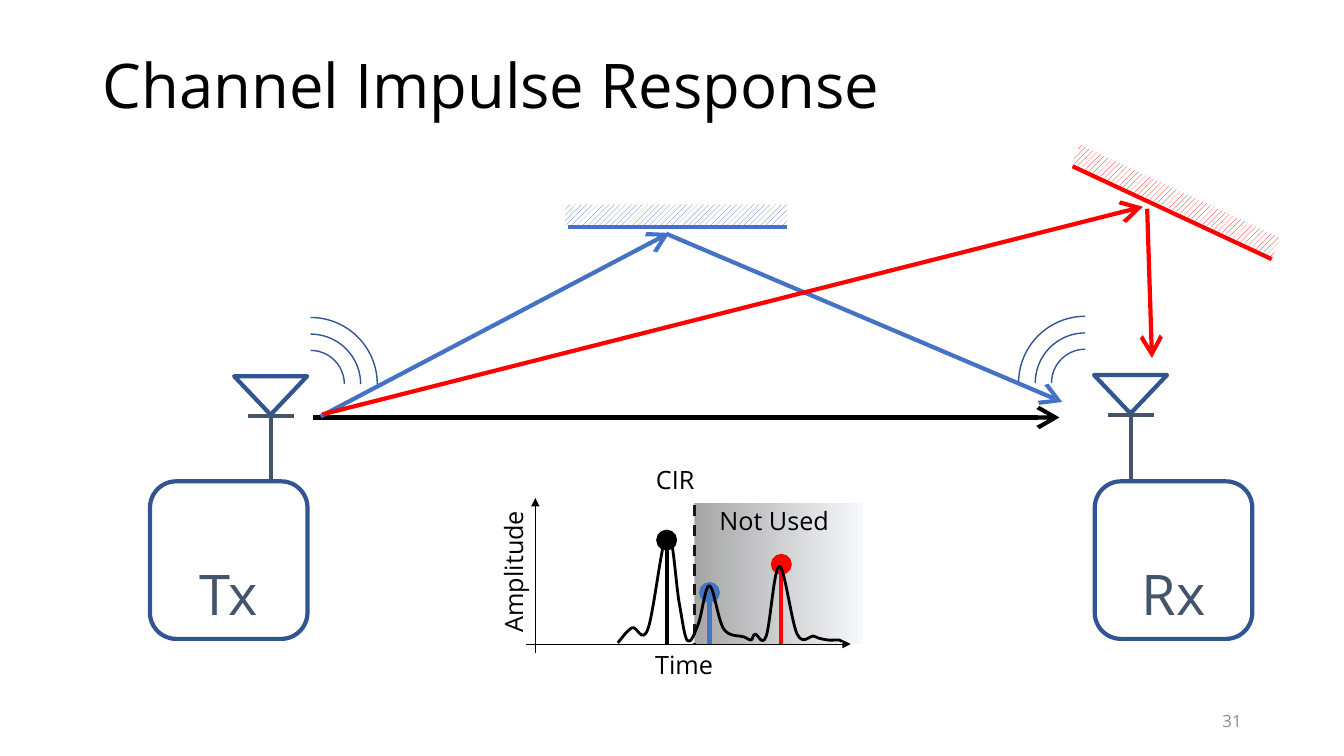
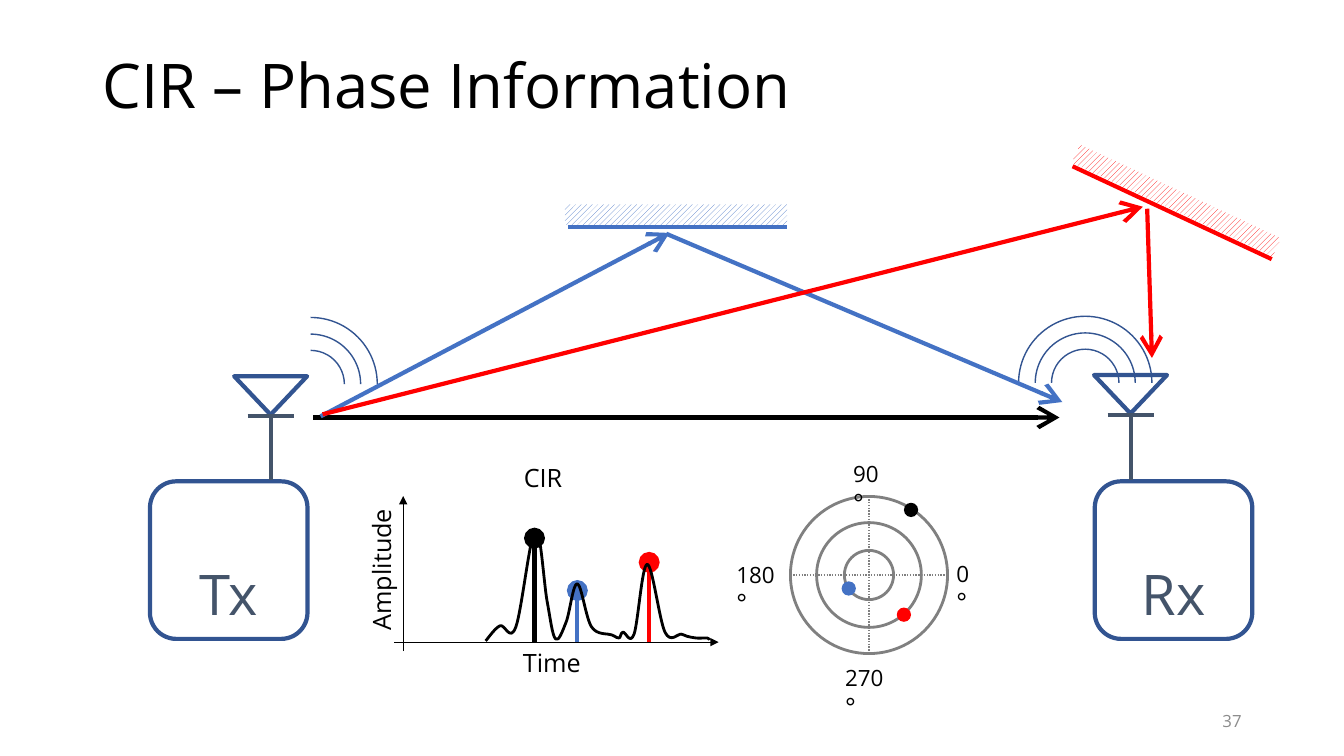
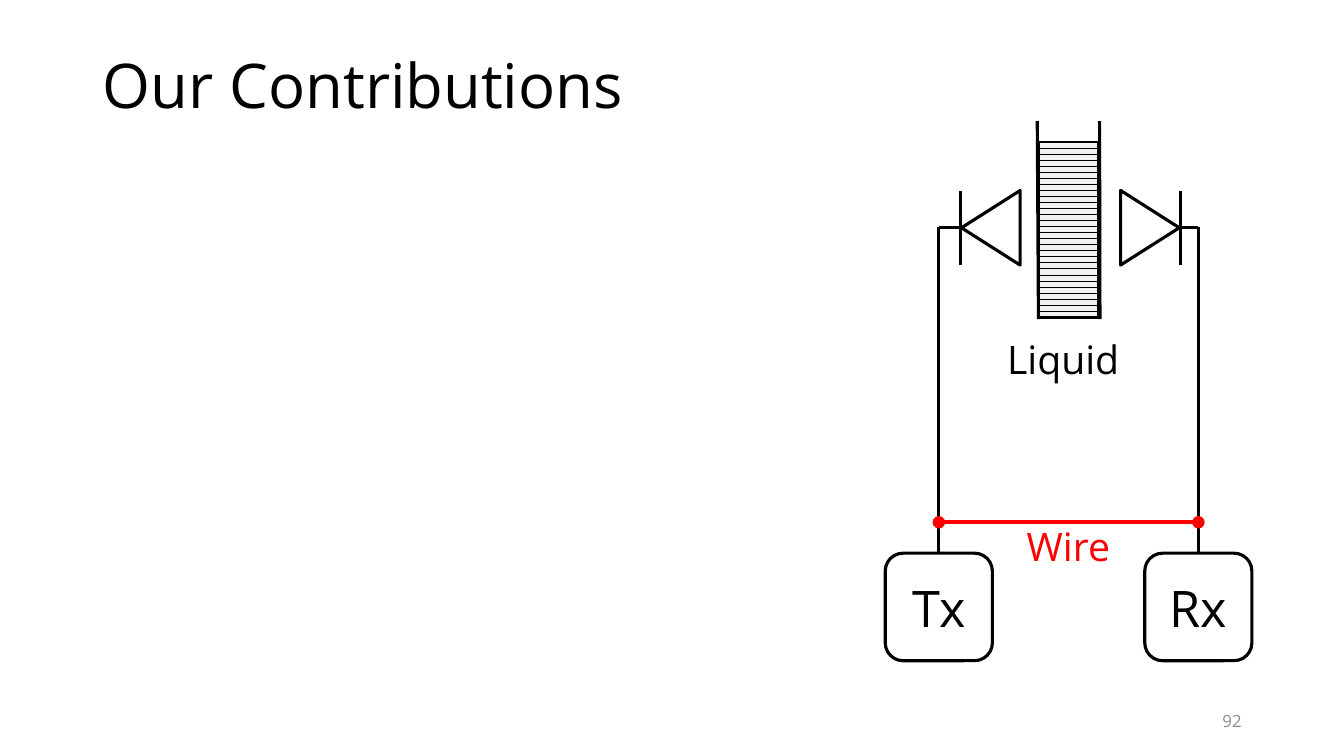
"""Build three slides on the channel impulse response and a liquid sensing setup."""

import lxml.etree
import pptx
import pptx.dml.color
import pptx.enum.dml
import pptx.enum.shapes
import pptx.enum.text
import pptx.oxml.ns
import pptx.util

Cm = pptx.util.Cm
Pt = pptx.util.Pt
qn = pptx.oxml.ns.qn
SHAPE = pptx.enum.shapes.MSO_SHAPE
PATTERN = pptx.enum.dml.MSO_PATTERN
DASH = pptx.enum.dml.MSO_LINE
ALIGN = pptx.enum.text.PP_ALIGN
ANCHOR = pptx.enum.text.MSO_ANCHOR
AUTO_SIZE = pptx.enum.text.MSO_AUTO_SIZE

FONT = "Open Sans"
COLORS = {
    "black": "000000",
    "white": "FFFFFF",
    "red": "FF0000",
    "blue": "4472C4",
    "outline": "325491",
    "slate": "44546A",
    "ring": "808080",
    "number": "8C8C8C",
    "dash": "181717",
    "shade": "A6A6A6",
    "shade_end": "F6F8FC",
    "liquid": "F2F2F2",
}
PULSE = [
    (2.08, 0.03), (2.44, 0.41), (2.84, 0.38), (3.33, 2.82), (3.63, 1.02),
    (3.84, 0.08), (4.11, 0.51), (4.39, 1.47), (4.75, 0.38), (5.26, 0.18),
    (5.44, 0.1), (5.54, 0.25), (5.82, 0.2), (6.15, 1.96), (6.6, 0.25),
    (7.01, 0.2), (7.14, 0.15), (7.39, 0.1), (7.67, 0.1), (7.72, 0.05),
]
TAPS = [("black", 3.31, 2.62), ("blue", 4.39, 1.3), ("red", 6.2, 2.01)]
RAYS = [
    ("black", (7.9, 10.52), (26.7, 10.52)),
    ("blue", (8.08, 10.49), (16.87, 5.87)),
    ("blue", (16.79, 5.89), (26.77, 10.13)),
    ("red", (8.13, 10.44), (28.8, 5.21)),
    ("red", (28.91, 5.26), (29.03, 9.02)),
]


def rgb(color):
    return pptx.dml.color.RGBColor.from_string(COLORS[color])


def set_line(line, color, width):
    line.color.rgb = rgb(color)
    line.width = Pt(width)


def add_text(shape, runs, color="black", align=ALIGN.LEFT, anchor=ANCHOR.TOP):
    frame = shape.text_frame
    frame.vertical_anchor = anchor
    paragraph = frame.paragraphs[0]
    paragraph.alignment = align
    for text, size in runs:
        run = paragraph.add_run()
        run.text = text
        run.font.name = FONT
        run.font.size = Pt(size)
        run.font.color.rgb = rgb(color)
    return paragraph


def add_label(slide, box, runs, wrap=False, grow=True, rotation=0, **style):
    shape = slide.shapes.add_textbox(*map(Cm, box))
    shape.rotation = rotation
    shape.text_frame.word_wrap = wrap
    if grow:
        shape.text_frame.auto_size = AUTO_SIZE.SHAPE_TO_FIT_TEXT
    return add_text(shape, runs, **style)


def add_preset(slide, kind, box, fill=None, line=None, width=1, rotation=0):
    shape = slide.shapes.add_shape(kind, *map(Cm, box))
    shape.shadow.inherit = False
    shape.rotation = rotation
    if fill:
        shape.fill.solid()
        shape.fill.fore_color.rgb = rgb(fill)
    else:
        shape.fill.background()
    if line:
        set_line(shape.line, line, width)
    else:
        shape.line.fill.background()
    return shape


def add_circle(slide, center, radius, **style):
    x, y = center
    box = (x - radius, y - radius, 2 * radius, 2 * radius)
    return add_preset(slide, SHAPE.OVAL, box, **style)


def add_line(slide, start, end, color="black", width=3, dash=None,
             head=None, tail=None, end_size="med"):
    connector = slide.shapes.add_connector(
        pptx.enum.shapes.MSO_CONNECTOR.STRAIGHT, *map(Cm, (*start, *end)))
    set_line(connector.line, color, width)
    if dash:
        connector.line.dash_style = dash
    properties = connector._element.spPr
    outline = properties.find(qn("a:ln"))
    for tag, kind in (("a:headEnd", head), ("a:tailEnd", tail)):
        if kind:
            lxml.etree.SubElement(outline, qn(tag), type=kind, w=end_size, len=end_size)
    lxml.etree.SubElement(properties, qn("a:effectLst"))
    return connector


def set_pattern(shape, pattern, foreground, background):
    shape.fill.patterned()
    shape.fill.pattern = pattern
    shape.fill.fore_color.rgb = rgb(foreground)
    shape.fill.back_color.rgb = rgb(background)


def add_titled_slide(presentation, title, number):
    slide = presentation.slides.add_slide(presentation.slide_layouts[6])
    heading = add_label(slide, (2.34, 0.38, 29.21, 3.68), [(title, 44)],
                        wrap=True, grow=False, anchor=ANCHOR.MIDDLE)
    heading.line_spacing = 0.9
    add_label(slide, (23.92, 17.65, 7.62, 1.02), [(number, 12)], wrap=True, grow=False,
              color="number", align=ALIGN.RIGHT, anchor=ANCHOR.MIDDLE)
    return slide


def add_station(slide, label, box_left, mast_x, top, arc_x, arc_angles):
    for radius in (0.85, 1.26, 1.68):
        box = (arc_x - radius, top + 0.2 - radius, 2 * radius, 2 * radius)
        arc = add_preset(slide, SHAPE.ARC, box, line="outline")
        for index, degrees in enumerate(arc_angles):
            arc.adjustments[index] = degrees * 0.6
    box = add_preset(slide, SHAPE.ROUNDED_RECTANGLE, (box_left, 12.13, 3.97, 3.97),
                     line="outline", width=3)
    add_text(box, [(label, 40)], "slate", ALIGN.CENTER, ANCHOR.BOTTOM)
    add_preset(slide, SHAPE.ISOSCELES_TRIANGLE, (mast_x - 0.93, top, 1.84, 0.97),
               line="outline", width=3, rotation=180)
    bar_y = top + 1
    add_line(slide, (mast_x - 0.59, bar_y), (mast_x + 0.59, bar_y), "slate")
    add_line(slide, (mast_x, bar_y), (mast_x, 12.1), "slate")


def add_reflector(slide, color, start, end, hatch_box, rotation=0):
    add_line(slide, start, end, color)
    hatch = add_preset(slide, SHAPE.RECTANGLE, hatch_box, rotation=rotation)
    set_pattern(hatch, PATTERN.WIDE_UPWARD_DIAGONAL, color, "white")


def add_multipath(slide, receiver_arc):
    add_station(slide, "Rx", 27.59, 28.5, 9.45, 27.35, receiver_arc)
    add_station(slide, "Tx", 3.78, 6.83, 9.48, 7.83, (270, 0))
    add_reflector(slide, "blue", (14.31, 5.72), (19.84, 5.72), (14.24, 5.15, 5.6, 0.52))
    add_reflector(slide, "red", (27.03, 4.19), (32.05, 6.53), (26.85, 4.8, 5.59, 0.51), 25)
    for color, start, end in RAYS:
        add_line(slide, start, end, color, tail="arrow", end_size="lg")


def add_smooth_curve(slide, points, color, width):
    corners = [(Cm(x), Cm(y)) for x, y in points]
    builder = slide.shapes.build_freeform(*corners[0])
    builder.add_line_segments(corners[1:], close=False)
    curve = builder.convert_to_shape()
    curve.shadow.inherit = False
    curve.fill.background()
    set_line(curve.line, color, width)

    knots = [(int(knot.get("x")), int(knot.get("y")))
             for knot in curve._element.iter(qn("a:pt"))]
    padded = [knots[0], *knots, knots[-1]]
    segments = list(curve._element.iter(qn("a:lnTo")))
    for segment, before, start, end, after in zip(
            segments, padded, padded[1:], padded[2:], padded[3:]):
        leaving = [b + (c - a) / 6 for a, b, c in zip(before, start, end)]
        arriving = [c - (d - b) / 6 for b, c, d in zip(start, end, after)]
        bezier = lxml.etree.Element(qn("a:cubicBezTo"))
        for x, y in (leaving, arriving, end):
            lxml.etree.SubElement(bezier, qn("a:pt"), x=str(round(x)), y=str(round(y)))
        segment.getparent().replace(segment, bezier)


def add_impulse_plot(slide, left, base):
    add_line(slide, (left - 0.23, base), (left + 7.95, base), width=0.75, tail="triangle")
    add_line(slide, (left, base + 0.23), (left, base - 3.68), width=0.75, tail="triangle")
    for color, x, height in TAPS:
        add_line(slide, (left + x, base), (left + x, base - height), color,
                 tail="oval", end_size="lg")
    for text, x, y, width, rotation in (
            ("Amplitude", -2.46, -2.46, 3.81, 270),
            ("Time", 2.77, 0, 2.08, 0),
            ("CIR", 2.79, -4.65, 1.6, 0)):
        add_label(slide, (left + x, base + y, width, 1.02), [(text, 18)], rotation=rotation)
    add_smooth_curve(slide, [(left + x, base - y) for x, y in PULSE], "black", 2)


def add_unused_region(slide):
    region = add_preset(slide, SHAPE.RECTANGLE, (17.5, 12.67, 4.24, 3.56))
    region.fill.gradient()
    region.fill.gradient_angle = 0
    for stop, color in zip(region.fill.gradient_stops, ("shade", "shade_end")):
        stop.color.rgb = rgb(color)
    add_label(slide, (17.88, 12.6, 3.35, 1.02), [("Not Used", 18)])
    add_line(slide, (17.5, 12.73), (17.5, 16.23), "dash", 2, DASH.DASH)


def add_phase_plot(slide, x, y):
    outer = 1.98
    for radius in (outer, 1.32, 0.62):
        add_circle(slide, (x, y), radius, line="ring", width=2)
    for dx, dy in ((outer, 0), (0, outer)):
        add_line(slide, (x - dx, y - dy), (x + dx, y + dy), "ring", 1, DASH.ROUND_DOT)
    for color, dx, dy in (("black", 1.06, -1.64), ("red", 0.88, 1), ("blue", -0.51, 0.34)):
        add_circle(slide, (x + dx, y + dy), 0.18, fill=color)
    for angle, dx, dy, width in (("0", 1.95, -0.51, 1.02), ("90", -0.65, -3.01, 1.37),
                                 ("270", -0.85, 2.12, 1.73), ("180", -3.59, -0.48, 1.73)):
        add_label(slide, (x + dx, y + dy, width, 1.02), [(angle, 16), ("°", 18)], wrap=True)


def add_terminal(slide, label, box_left, horn_x, direction):
    horn_y = 5.74
    feed_x = box_left + 1.35
    bar_x = horn_x + direction * 0.76
    add_preset(slide, SHAPE.ISOSCELES_TRIANGLE, (horn_x - 0.94, horn_y - 0.74, 1.88, 1.48),
               line="black", width=2.25, rotation=90 * direction % 360)
    add_line(slide, (bar_x, horn_y - 0.93), (bar_x, horn_y + 0.94), width=2.25)
    add_line(slide, (bar_x, horn_y), (feed_x, horn_y), width=2.25)
    box = add_preset(slide, SHAPE.ROUNDED_RECTANGLE, (box_left, 13.94, 2.7, 2.71),
                     line="black", width=2.25)
    add_text(box, [(label, 36)], align=ALIGN.CENTER, anchor=ANCHOR.MIDDLE)
    feed = add_line(slide, (feed_x, 13.94), (feed_x, 5.72), width=2.25)
    feed.begin_connect(box, 0)


def add_liquid_setup(slide):
    add_terminal(slide, "Tx", 22.31, 24.97, -1)
    add_terminal(slide, "Rx", 28.85, 28.98, 1)
    liquid = add_preset(slide, SHAPE.RECTANGLE, (26.18, 3.58, 1.5, 4.43),
                        line="black", width=2)
    set_pattern(liquid, PATTERN.DASHED_HORIZONTAL, "black", "liquid")
    for bottom_x, top_x in ((26.17, 26.14), (27.72, 27.71)):
        add_line(slide, (bottom_x, 8.04), (top_x, 3.05), width=2.25)
    add_line(slide, (23.66, 13.16), (30.2, 13.16), "red", head="oval", tail="oval")
    add_label(slide, (24.74, 8.33, 4.11, 1.78), [("Liquid", 28)],
              wrap=True, align=ALIGN.CENTER)
    add_label(slide, (24.87, 13.03, 4.11, 1.45), [("Wire", 28)],
              wrap=True, color="red", align=ALIGN.CENTER)


def main():
    presentation = pptx.Presentation()
    presentation.slide_width = Cm(33.87)
    presentation.slide_height = Cm(19.05)

    slide = add_titled_slide(presentation, "Channel Impulse Response", "31")
    add_unused_region(slide)
    add_multipath(slide, (180, 270))
    add_impulse_plot(slide, 13.49, 16.23)

    slide = add_titled_slide(presentation, "CIR – Phase Information", "37")
    add_multipath(slide, (180, 0))
    add_impulse_plot(slide, 10.16, 16.18)
    add_phase_plot(slide, 21.9, 14.49)

    slide = add_titled_slide(presentation, "Our Contributions", "92")
    add_liquid_setup(slide)

    presentation.save("out.pptx")


if __name__ == "__main__":
    main()
